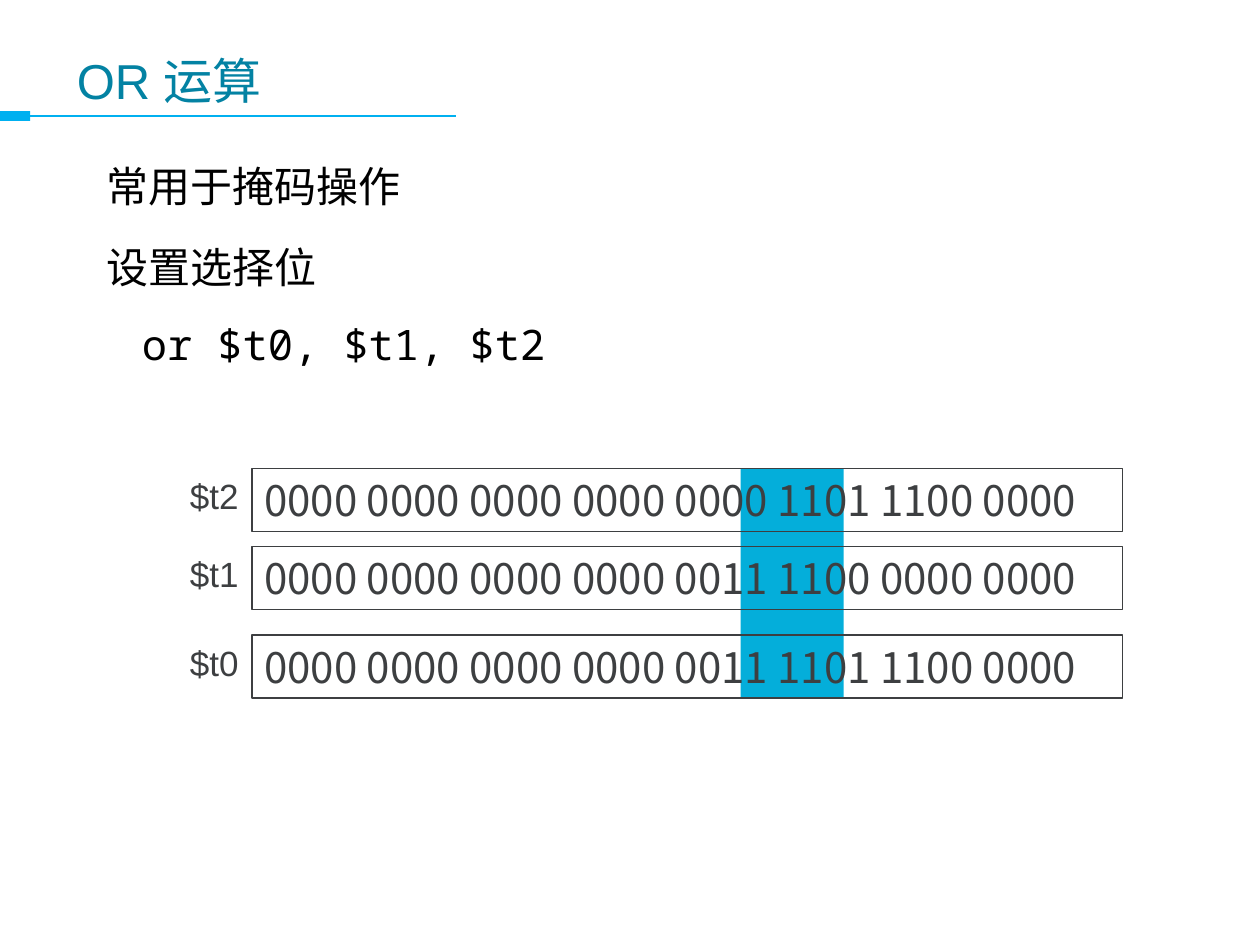
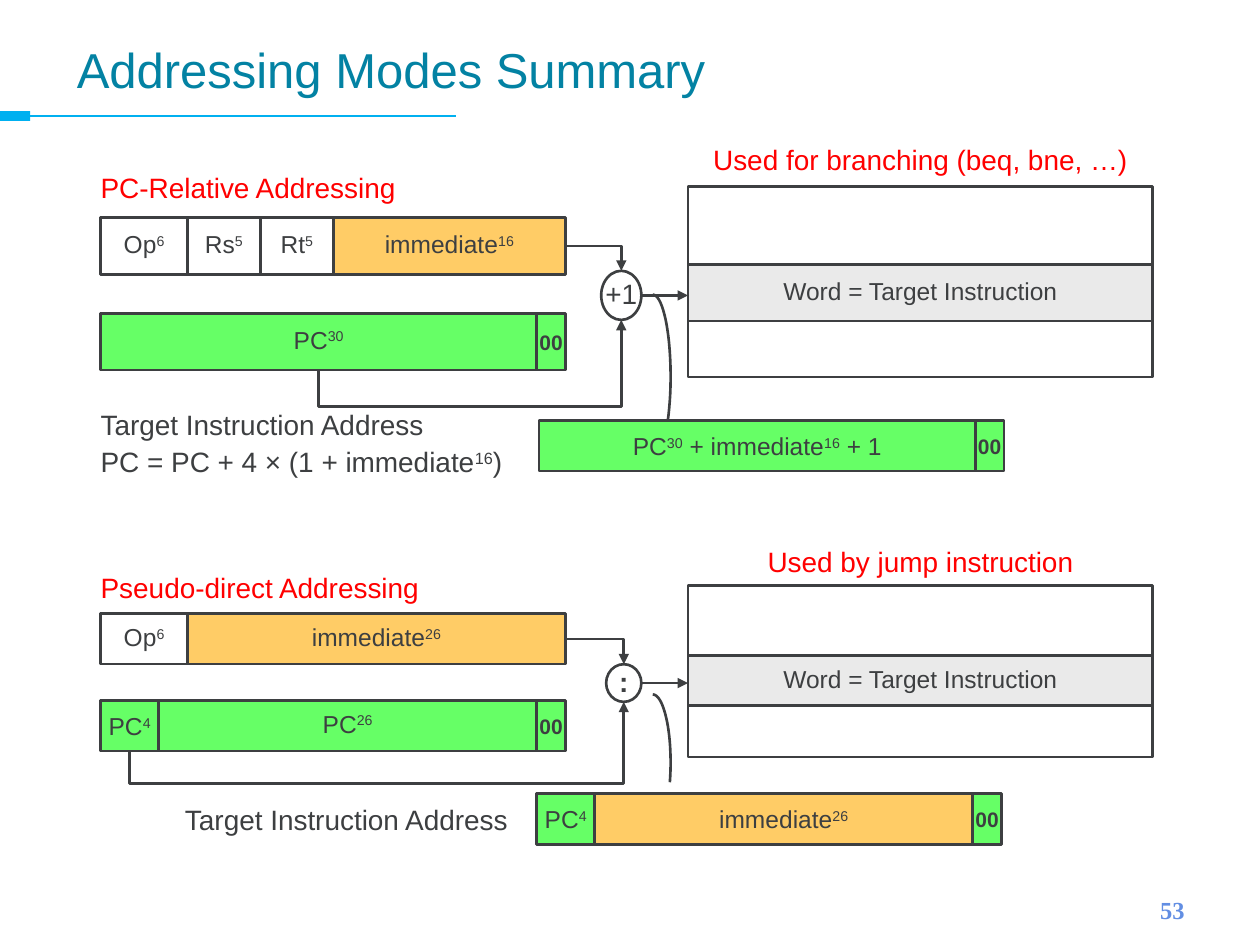
from dataclasses import dataclass
from math import asin, cos, pi, sin
from typing import NamedTuple, Optional

from lxml.etree import SubElement
from pptx import Presentation
from pptx.dml.color import RGBColor
from pptx.enum.shapes import MSO_CONNECTOR, MSO_SHAPE
from pptx.enum.text import MSO_ANCHOR, PP_ALIGN
from pptx.oxml.ns import qn
from pptx.util import Cm, Pt


class TextStyle(NamedTuple):
    size: float
    color: str
    font: str = "Arial"
    bold: bool = False


class Box(NamedTuple):
    left: float
    top: float
    width: float
    height: float

    @property
    def right(self) -> float:
        return self.left + self.width

    @property
    def bottom(self) -> float:
        return self.top + self.height

    @property
    def center(self) -> float:
        return self.left + self.width / 2

    @property
    def middle(self) -> float:
        return self.top + self.height / 2

    def lengths(self) -> list:
        return [Cm(value) for value in self]


@dataclass(frozen=True)
class Theme:
    accent: str = "00B0F0"
    highlight: str = "04AEDA"
    ink: str = "3D3F41"
    white: str = "FFFFFF"
    orange: str = "FFCC66"
    green: str = "66FF66"
    gray: str = "EAEAEA"
    east_asian: str = "Noto Sans CJK SC"
    title: TextStyle = TextStyle(28, "0382A3")
    body: TextStyle = TextStyle(24, "000000")
    code: TextStyle = TextStyle(24, "000000", "Noto Sans Mono")
    bits: TextStyle = TextStyle(24, "3D3F41", "Noto Sans CJK SC")
    register: TextStyle = TextStyle(20, "3D3F41")
    heading: TextStyle = TextStyle(16, "FF0000")
    note: TextStyle = TextStyle(16, "3D3F41")
    operator: TextStyle = TextStyle(16, "3D3F41", "Arial", True)
    field: TextStyle = TextStyle(14, "3D3F41")
    zeros: TextStyle = TextStyle(12, "3D3F41", "Arial", True)
    page: TextStyle = TextStyle(14, "628EE3", "Times New Roman", True)


THEME = Theme()


class Field(NamedTuple):
    text: str
    width: float
    fill: str
    spacing: float = 0.85
    style: TextStyle = THEME.field


class BodyLine(NamedTuple):
    text: str
    style: TextStyle
    before: float
    after: float
    spacing: float
    indent: float


class Register(NamedTuple):
    name: str
    bits: str
    top: float


@dataclass(frozen=True)
class AddressingMode:
    heading: str
    heading_box: Box
    usage: str
    usage_box: Box
    memory: Box
    word: Box
    instruction: Box
    instruction_fields: list
    counter: Box
    counter_fields: list
    target: Box
    target_fields: list
    address: list
    address_box: Box
    operator: str
    operator_style: TextStyle
    operator_box: Box
    operator_text_height: float
    return_drop: float
    curve_middle: float
    curve_radius: float
    curve_end: float


def style_run(run, style: TextStyle) -> None:
    run.font.size = Pt(style.size)
    run.font.name = style.font
    run.font.bold = style.bold
    run.font.color.rgb = RGBColor.from_string(style.color)
    SubElement(run._r.get_or_add_rPr(), qn("a:ea"), typeface=THEME.east_asian)


def write(shape, lines: list, style: TextStyle, align=PP_ALIGN.LEFT, anchor=MSO_ANCHOR.MIDDLE,
          inset: bool = False, spacing: float = 1.0) -> None:
    frame = shape.text_frame
    frame.word_wrap = True
    frame.vertical_anchor = anchor
    if not inset:
        frame.margin_left = frame.margin_right = frame.margin_top = frame.margin_bottom = 0
    for index, line in enumerate(lines):
        paragraph = frame.add_paragraph() if index else frame.paragraphs[0]
        paragraph.alignment = align
        paragraph.line_spacing = spacing
        if index:
            paragraph.space_before = Pt(2.1)
        for part, text in enumerate(line.split("^")):
            if text:
                run = paragraph.add_run()
                run.text = text
                style_run(run, style)
                if part % 2:
                    run._r.get_or_add_rPr().set("baseline", "30000")


def paint(shape, fill: Optional[str], line: Optional[str], width: float) -> None:
    shape.shadow.inherit = False
    if fill:
        shape.fill.solid()
        shape.fill.fore_color.rgb = RGBColor.from_string(fill)
    else:
        shape.fill.background()
    if line:
        shape.line.color.rgb = RGBColor.from_string(line)
        shape.line.width = Pt(width)
    else:
        shape.line.fill.background()


def add_figure(slide, box: Box, fill: Optional[str] = None, line: Optional[str] = THEME.ink,
               width: float = 1.5, kind=MSO_SHAPE.RECTANGLE):
    shape = slide.shapes.add_shape(kind, *box.lengths())
    paint(shape, fill, line, width)
    return shape


def add_text(slide, box: Box, lines: list, style: TextStyle, **options):
    shape = slide.shapes.add_textbox(*box.lengths())
    write(shape, lines, style, **options)
    return shape


def add_line(slide, begin: tuple, end: tuple, kind=MSO_CONNECTOR.STRAIGHT,
             color: str = THEME.ink, width: float = 1.5, arrow: bool = True):
    connector = slide.shapes.add_connector(kind, *[Cm(value) for value in (*begin, *end)])
    connector.line.color.rgb = RGBColor.from_string(color)
    connector.line.width = Pt(width)
    properties = connector.element.spPr
    if arrow:
        SubElement(properties.find(qn("a:ln")), qn("a:tailEnd"), type="triangle")
    SubElement(properties, qn("a:effectLst"))
    return connector


def add_corner(slide, begin: tuple, end: tuple) -> None:
    connector = add_line(slide, begin, end, MSO_CONNECTOR.ELBOW)
    connector.element.spPr.find(qn("a:prstGeom")).set("prst", "bentConnector2")


def add_return(slide, begin: tuple, end: tuple, drop: float) -> None:
    connector = add_line(slide, begin, end, MSO_CONNECTOR.ELBOW)
    rise, run = begin[1] - end[1], end[0] - begin[0]
    box = Box((begin[0] + end[0] - rise) / 2, (begin[1] + end[1] - run) / 2, rise, run)
    connector.left, connector.top, connector.width, connector.height = box.lengths()
    properties = connector.element.spPr
    transform = properties.find(qn("a:xfrm"))
    for name, value in (("rot", "5400000"), ("flipH", "1"), ("flipV", "1")):
        transform.set(name, value)
    guides = properties.find(qn("a:prstGeom")).find(qn("a:avLst"))
    SubElement(guides, qn("a:gd"), name="adj1", fmla=f"val {round(-drop / rise * 100000)}")


def add_curve(slide, middle: float, radius: float, end: float, steps: int = 24) -> None:
    center, half_width = 13.16, 0.36
    sweep = pi / 2 + asin((end - middle) / radius)
    angles = [sweep * step / steps - pi / 2 for step in range(steps + 1)]
    points = [(Cm(center + half_width * cos(angle)), Cm(middle + radius * sin(angle)))
              for angle in angles]
    builder = slide.shapes.build_freeform(*points[0])
    builder.add_line_segments(points[1:], close=False)
    paint(builder.convert_to_shape(), None, THEME.ink, 1.5)


def add_strip(slide, strip: Box, fields: list) -> None:
    left = strip.left
    for field in fields:
        shape = add_figure(slide, Box(left, strip.top, field.width, strip.height), field.fill)
        write(shape, [field.text], field.style, align=PP_ALIGN.CENTER, spacing=field.spacing)
        left += field.width


def add_titled_slide(presentation, title: str, anchor):
    slide = presentation.slides.add_slide(presentation.slide_layouts[6])
    add_line(slide, (9.19, 2.34), (0.61, 2.34), color=THEME.accent, width=0.75, arrow=False)
    add_figure(slide, Box(0, 2.24, 0.61, 0.2), THEME.accent, None)
    add_text(slide, Box(1.3, 0.43, 22.86, 1.9), [title], THEME.title, anchor=anchor, inset=True)
    return slide


def add_mode(slide, mode: AddressingMode) -> None:
    add_text(slide, mode.usage_box, [mode.usage], THEME.heading, align=PP_ALIGN.CENTER)
    word = add_figure(slide, mode.word, THEME.gray)
    write(word, ["Word = Target Instruction"], THEME.field, align=PP_ALIGN.CENTER, spacing=0.85)
    add_figure(slide, mode.memory)
    add_text(slide, mode.heading_box, [mode.heading], THEME.heading)
    add_strip(slide, mode.instruction, mode.instruction_fields)
    add_strip(slide, mode.counter, mode.counter_fields)
    circle = mode.operator_box
    backing = add_figure(slide, circle._replace(height=mode.operator_text_height), THEME.white, None)
    write(backing, [mode.operator], mode.operator_style, align=PP_ALIGN.CENTER)
    add_figure(slide, circle, kind=MSO_SHAPE.OVAL)
    counter_center = mode.counter.left + mode.counter_fields[0].width / 2
    add_return(slide, (counter_center, mode.counter.bottom), (circle.center, circle.bottom),
               mode.return_drop)
    add_corner(slide, (mode.instruction.right, mode.instruction.middle), (circle.center, circle.top))
    add_line(slide, (circle.right, circle.middle), (mode.memory.left, circle.middle))
    add_text(slide, mode.address_box, mode.address, THEME.note)
    add_strip(slide, mode.target, mode.target_fields)
    add_curve(slide, mode.curve_middle, mode.curve_radius, mode.curve_end)


ZEROS = Field("00", 0.58, THEME.green, 1.0, THEME.zeros)
OPCODE = Field("Op^6", 1.75, THEME.white)
COUNTER_TOP_BITS = Field("PC^4", 1.17, THEME.green, 1.0)
BODY = [
    BodyLine("常用于掩码操作", THEME.body, 0, 2.4, 1.0, -0.71),
    BodyLine("设置选择位", THEME.body, 6.1, 0.1, 1.3, -0.71),
    BodyLine("or $t0, $t1, $t2", THEME.code, 15.1, 9.1, 1.0, 0),
]
REGISTERS = [
    Register("$t2", "0000 0000 0000 0000 0000 1101 1100 0000", 9.45),
    Register("$t1", "0000 0000 0000 0000 0011 1100 0000 0000", 11.02),
    Register("$t0", "0000 0000 0000 0000 0011 1101 1100 0000", 12.8),
]
MODES = [
    AddressingMode(
        "PC-Relative Addressing", Box(2.03, 3.33, 9.37, 0.89),
        "Used for branching (beq, bne, …)", Box(13.87, 2.77, 9.37, 0.89),
        Box(13.87, 3.76, 9.37, 3.84), Box(13.87, 5.33, 9.37, 1.14),
        Box(2.03, 4.39, 9.37, 1.14),
        [OPCODE, Field("Rs^5", 1.47, THEME.white), Field("Rt^5", 1.47, THEME.white),
         Field("immediate^16", 4.68, THEME.orange)],
        Box(2.03, 6.32, 9.37, 1.14), [Field("PC^30", 8.79, THEME.green), ZEROS],
        Box(10.87, 8.48, 9.37, 1.02),
        [Field("PC^30^ + immediate^16^ + 1", 8.79, THEME.green, 1.0), ZEROS],
        ["Target Instruction Address", "PC = PC + 4 × (1 + immediate^16^)"],
        Box(2.03, 8.23, 8.74, 1.4),
        "+1", THEME.note, Box(12.12, 5.46, 0.81, 0.99), 0.91,
        0.74, 7.59, 1.65, 8.48),
    AddressingMode(
        "Pseudo-direct Addressing", Box(2.03, 11.43, 9.37, 0.81),
        "Used by jump instruction", Box(13.87, 10.92, 9.37, 0.81),
        Box(13.87, 11.81, 9.37, 3.45), Box(13.87, 13.21, 9.37, 1.02),
        Box(2.03, 12.37, 9.37, 1.02), [OPCODE, Field("immediate^26", 7.62, THEME.orange)],
        Box(2.03, 14.12, 9.37, 1.02),
        [COUNTER_TOP_BITS, Field("PC^26", 7.62, THEME.green), ZEROS],
        Box(10.82, 16, 9.37, 1.02),
        [COUNTER_TOP_BITS, Field("immediate^26", 7.62, THEME.orange, 1.0), ZEROS],
        ["Target Instruction Address"], Box(3.73, 16, 6.96, 1.02),
        ":", THEME.operator, Box(12.22, 13.39, 0.71, 0.76), 0.69,
        0.66, 15.37, 1.37, 15.77),
]


def build_or_slide(presentation) -> None:
    slide = add_titled_slide(presentation, "OR 运算", MSO_ANCHOR.BOTTOM)
    add_figure(slide, Box(14.93, 9.45, 2.08, 4.62), THEME.highlight, None)
    frame = slide.shapes.add_textbox(*Box(1.9, 3.12, 22.96, 5.77).lengths()).text_frame
    frame.word_wrap = True
    for index, line in enumerate(BODY):
        paragraph = frame.add_paragraph() if index else frame.paragraphs[0]
        paragraph.text = line.text
        paragraph.space_before, paragraph.space_after = Pt(line.before), Pt(line.after)
        paragraph.line_spacing = line.spacing
        properties = paragraph._p.get_or_add_pPr()
        properties.set("marL", str(Cm(0.71)))
        properties.set("indent", str(Cm(line.indent)))
        style_run(paragraph.runs[0], line.style)
    for register in REGISTERS:
        row = add_figure(slide, Box(5.08, register.top, 17.55, 1.27), width=0.75)
        write(row, [register.bits], THEME.bits, anchor=MSO_ANCHOR.TOP, inset=True)
        add_text(slide, Box(3.58, register.top, 1.6, 1.12), [register.name], THEME.register,
                 anchor=MSO_ANCHOR.TOP, inset=True)


def build_addressing_slide(presentation) -> None:
    slide = add_titled_slide(presentation, "Addressing Modes Summary", MSO_ANCHOR.MIDDLE)
    for mode in MODES:
        add_mode(slide, mode)
    add_text(slide, Box(18.21, 17.75, 5.92, 1.17), ["53"], THEME.page,
             align=PP_ALIGN.RIGHT, inset=True)


def main() -> None:
    presentation = Presentation()
    presentation.slide_width, presentation.slide_height = Cm(25.4), Cm(19.05)
    build_or_slide(presentation)
    build_addressing_slide(presentation)
    presentation.save("out.pptx")


if __name__ == "__main__":
    main()
